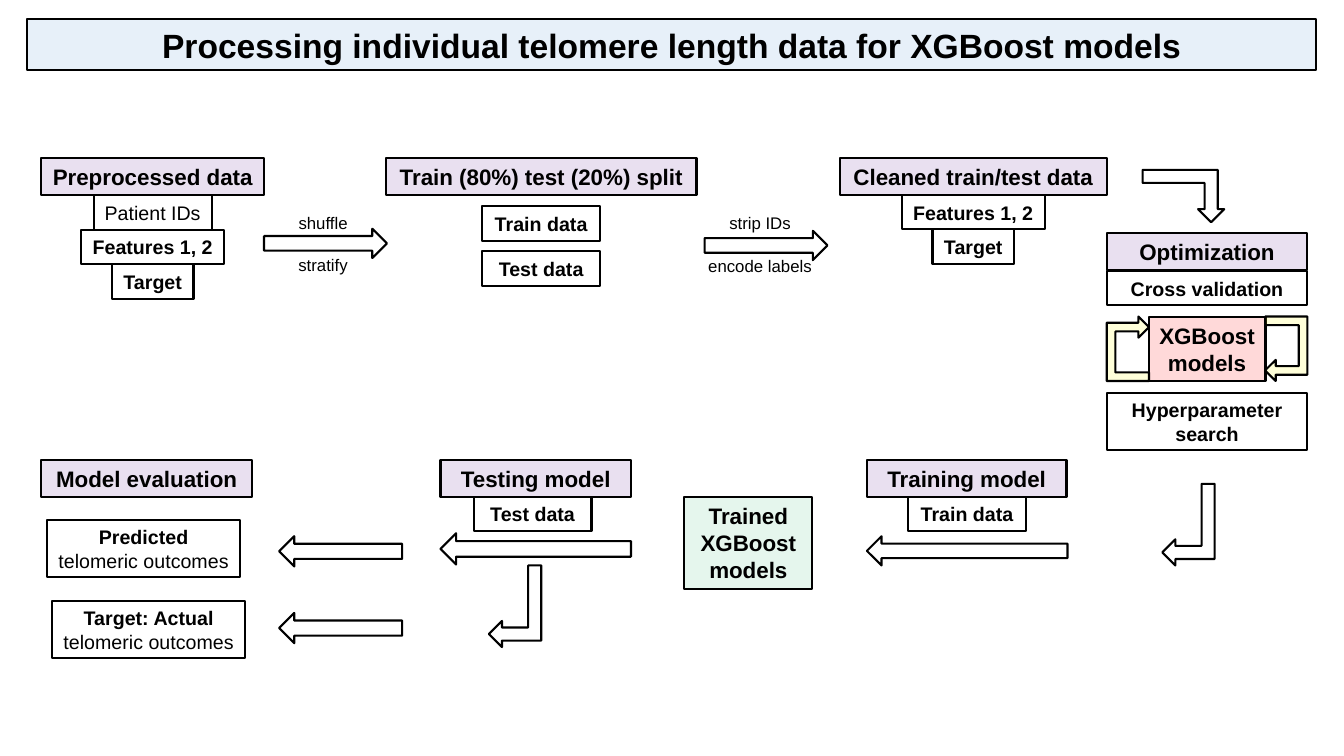
"""Build a flow diagram slide on processing telomere length data for XGBoost models."""
from lxml import etree
from pptx import Presentation
from pptx.dml.color import RGBColor
from pptx.enum.shapes import MSO_SHAPE
from pptx.enum.text import MSO_ANCHOR, PP_ALIGN
from pptx.oxml.ns import qn
from pptx.util import Pt

THEME = {
    "font": "Arial", "ink": "000000", "line": 1.5,
    "title": 24, "header": 16, "item": 14, "caption": 12,
    "fills": {"title": ("DEEBF7", 70), "header": ("7030A0", 15), "model": ("FF0000", 15),
              "trained": ("00B050", 10), "loop": ("FFFF00", 15), "plain": None},
}
HEADER_HEIGHT = 26.6
ITEM_HEIGHT = 24.6

TITLE = ("Processing individual telomere length data for XGBoost models", 19.4, 13.7, 920.9, 36.4)
TRAINED = ("Trained XGBoost models", 488.9, 355, 91.4, 65.5)

# Stage: header, centre x, top, width, items of (text, gap above, width, height, shift, look)
STAGES = [
    ("Preprocessed data", 109.1, 113, 159.1, [
        ("Patient IDs", 0, 84.2, ITEM_HEIGHT, 0, "regular"),
        ("Features 1, 2", 0, 102.2, ITEM_HEIGHT, 0, "bold"),
        ("Target", 0, 58.3, ITEM_HEIGHT, 0, "bold")]),
    ("Train (80%) test (20%) split", 386.6, 113, 221.8, [
        ("Train data", 7.7, 84.2, ITEM_HEIGHT, 0, "bold"),
        ("Test data", 7.7, 84.2, ITEM_HEIGHT, 0, "bold")]),
    ("Cleaned train/test data", 695.2, 112.7, 190.8, [
        ("Features 1, 2", 0, 102.2, ITEM_HEIGHT, 0, "bold"),
        ("Target", 0, 58.3, ITEM_HEIGHT, 0, "bold")]),
    ("Optimization", 862.2, 166.5, 143.3, [
        ("Cross validation", 0.5, 143.3, ITEM_HEIGHT, 0, "bold"),
        ("XGBoost models", 8, 83.5, 46, 0, "model"),
        ("Hyperparameter search", 8.6, 143.3, 41, 0, "bold")]),
    ("Training model", 690.5, 328.3, 142.6, [
        ("Train data", 0, 84.2, ITEM_HEIGHT, 0.3, "bold")]),
    ("Testing model", 382.7, 328.3, 136.1, [
        ("Test data", 0, 84.2, ITEM_HEIGHT, -2.2, "bold")]),
    ("Model evaluation", 104.8, 328.3, 150.5, [
        ("Predicted\ntelomeric outcomes", 16.6, 137.5, 41, -2.2, "pair"),
        ("Target: Actual\ntelomeric outcomes", 16.6, 137.5, 41, 1.4, "pair")]),
]

CAPTIONS = [
    ("shuffle", 230.8, 148.3, 49.7), ("stratify", 230.8, 178.6, 49.7),
    ("strip IDs", 542.9, 148.3, 59), ("encode labels", 542.9, 179.3, 92.2),
]

STRAIGHT, BENT, UTURN = MSO_SHAPE.RIGHT_ARROW, MSO_SHAPE.BENT_ARROW, MSO_SHAPE.U_TURN_ARROW
BEND = (0.25, 0.25, 0.25, 0)
LOOP = (0.205, 0.25, 0.25, 0, 1)
ARROWS = [
    (STRAIGHT, (188.6, 163.4, 87.8, 20.9), 0, (), "plain"),
    (STRAIGHT, (503.3, 164.9, 87.8, 20.9), 0, (), "plain"),
    (STRAIGHT, (619.2, 383, 143.3, 20.9), 180, (), "plain"),
    (STRAIGHT, (314.6, 380.9, 136.1, 22.3), 180, (), "plain"),
    (STRAIGHT, (199.4, 383, 87.8, 21.6), 180, (), "plain"),
    (STRAIGHT, (199.4, 437.8, 87.8, 21.6), 180, (), "plain"),
    (BENT, (826.6, 110.9, 37.4, 58.3), 90, BEND, "plain"),
    (BENT, (830.2, 345.6, 37.4, 58.3), 180, BEND, "plain"),
    (BENT, (349.2, 403.9, 37.4, 58.3), 180, BEND, "plain"),
    (UTURN, (782.6, 234, 46.1, 30.2), 270, LOOP, "loop"),
    (UTURN, (895.7, 234, 46.1, 30.2), 90, LOOP, "loop"),
]


def write(holder, text, size="item", bold=True, rest_bold=None, anchor=MSO_ANCHOR.MIDDLE):
    frame = holder.text_frame
    frame.word_wrap = True
    frame.vertical_anchor = anchor
    for index, line in enumerate(text.split("\n")):
        paragraph = frame.add_paragraph() if index else frame.paragraphs[0]
        paragraph.alignment = PP_ALIGN.CENTER
        run = paragraph.add_run()
        run.text = line
        run.font.name = THEME["font"]
        run.font.size = Pt(THEME[size])
        run.font.bold = rest_bold if index and rest_bold is not None else bold
        run.font.color.rgb = RGBColor.from_string(THEME["ink"])


def draw(slide, preset, left, top, width, height, fill="plain"):
    outline = slide.shapes.add_shape(preset, Pt(left), Pt(top), Pt(width), Pt(height))
    outline.shadow.inherit = False
    outline.line.color.rgb = RGBColor.from_string(THEME["ink"])
    outline.line.width = Pt(THEME["line"])
    tint = THEME["fills"][fill]
    if tint is None:
        outline.fill.background()
        return outline
    colour, opacity = tint
    outline.fill.solid()
    outline.fill.fore_color.rgb = RGBColor.from_string(colour)
    solid = outline.element.spPr.find(qn("a:solidFill"))
    etree.SubElement(solid[0], qn("a:alpha")).set("val", str(opacity * 1000))
    return outline


def draw_stage(slide, header, centre, top, width, items):
    looks = {
        "regular": ("plain", {"bold": False}), "bold": ("plain", {}),
        "pair": ("plain", {"rest_bold": False}), "model": ("model", {"size": "header"}),
    }
    heading = draw(slide, MSO_SHAPE.RECTANGLE, centre - width / 2, top, width, HEADER_HEIGHT, "header")
    write(heading, header, size="header")
    top += HEADER_HEIGHT
    for text, gap, item_width, height, shift, look in items:
        fill, text_format = looks[look]
        top += gap
        left = centre + shift - item_width / 2
        item = draw(slide, MSO_SHAPE.RECTANGLE, left, top, item_width, height, fill)
        write(item, text, **text_format)
        top += height


def main():
    deck = Presentation()
    deck.slide_width, deck.slide_height = Pt(960), Pt(540)
    slide = deck.slides.add_slide(deck.slide_layouts[6])
    for stage in STAGES:
        draw_stage(slide, *stage)
    for (text, *frame), look in ((TRAINED, "trained"), (TITLE, "title")):
        size = "title" if look == "title" else "header"
        write(draw(slide, MSO_SHAPE.RECTANGLE, *frame, look), text, size=size)
    for preset, frame, turn, adjustments, fill in ARROWS:
        arrow = draw(slide, preset, *frame, fill)
        arrow.rotation = turn
        for index, value in enumerate(adjustments):
            arrow.adjustments[index] = value
    for text, centre, top, width in CAPTIONS:
        caption = slide.shapes.add_textbox(Pt(centre - width / 2), Pt(top), Pt(width), Pt(21.6))
        write(caption, text, size="caption", bold=False, anchor=MSO_ANCHOR.TOP)
    deck.save("out.pptx")


if __name__ == "__main__":
    main()
